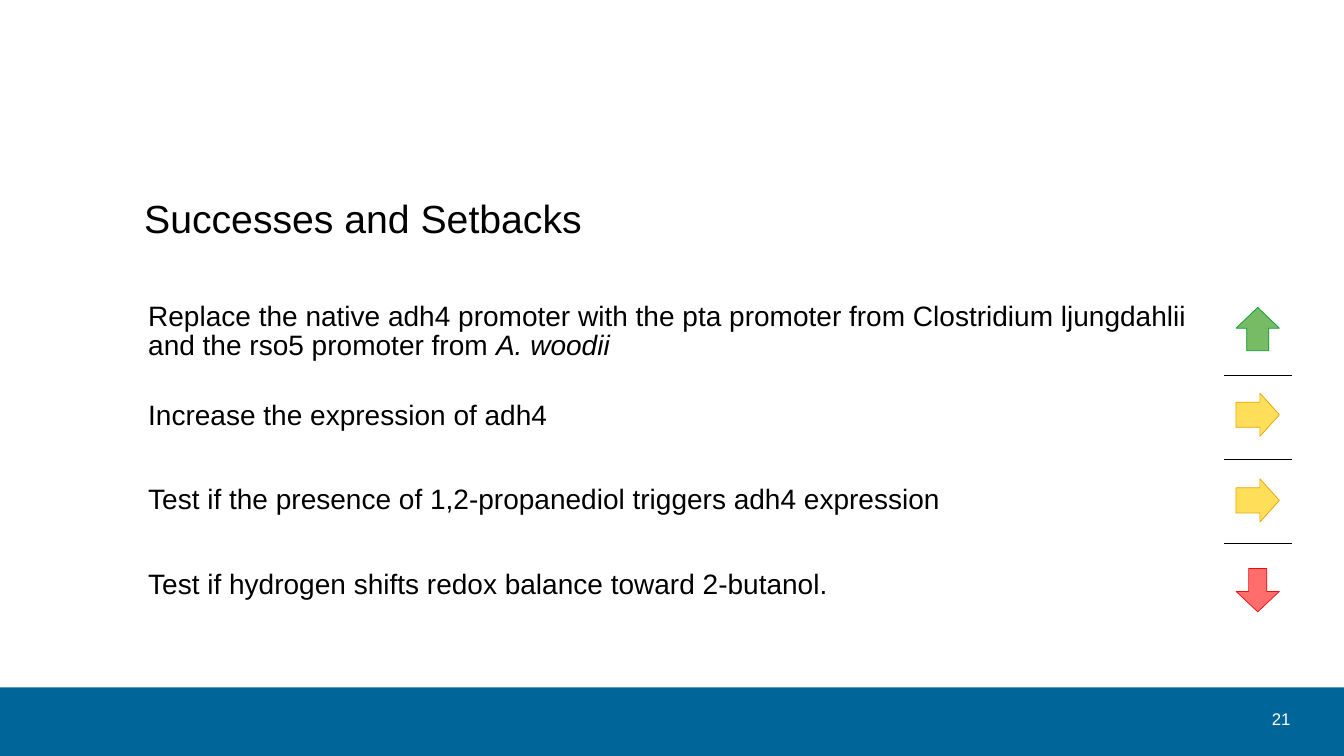
"""Build the slide of successes and setbacks."""
from lxml import etree
from pptx import Presentation
from pptx.dml.color import RGBColor
from pptx.enum.shapes import MSO_SHAPE
from pptx.enum.text import MSO_ANCHOR, PP_ALIGN
from pptx.oxml.ns import qn
from pptx.util import Inches, Pt

RECT = MSO_SHAPE.RECTANGLE
UP, SIDE, DOWN = MSO_SHAPE.UP_ARROW, MSO_SHAPE.RIGHT_ARROW, MSO_SHAPE.DOWN_ARROW
MIDDLE = MSO_ANCHOR.MIDDLE
LEFT, RIGHT = PP_ALIGN.LEFT, PP_ALIGN.RIGHT

BLACK = RGBColor(0x00, 0x00, 0x00)
WHITE = RGBColor(0xFF, 0xFF, 0xFF)
BLUE = RGBColor(0x00, 0x66, 0x99)
GREEN = RGBColor(0x77, 0xBC, 0x65)
FOREST = RGBColor(0x06, 0x9A, 0x2E)
YELLOW = RGBColor(0xFF, 0xDE, 0x59)
AMBER = RGBColor(0xE8, 0xA2, 0x02)
PINK = RGBColor(0xFF, 0x6D, 0x6D)
RED = RGBColor(0xF1, 0x0D, 0x0C)

GOALS = [
    [("Replace the native adh4 promoter with the pta promoter from "
      "Clostridium ljungdahlii and the rso5 promoter from ", False),
     ("A. woodii", True)],
    [("Increase the expression of adh4", False)],
    [("Test if the presence of 1,2-propanediol triggers adh4 expression", False)],
    [("Test if hydrogen shifts redox balance toward 2-butanol.", False)],
]
MARKS = [
    (3.05, UP, (0.51, 0.48), GREEN, FOREST),
    (3.9, SIDE, (0.58, 0.45), YELLOW, AMBER),
    (4.75, SIDE, (0.58, 0.45), YELLOW, AMBER),
    (5.64, DOWN, (0.42, 0.47), PINK, RED),
]


class Deck:
    """Hold the text style and the current slide."""

    font = "Arial"

    def __init__(self):
        self.file = Presentation()
        self.file.slide_width = Inches(13.33)
        self.file.slide_height = Inches(7.5)
        self.slide = self.file.slides.add_slide(self.file.slide_layouts[6])

    def style(self, para, size, color, align=LEFT):
        para.alignment = align
        para.font.name = self.font
        para.font.size = Pt(size)
        para.font.color.rgb = color

    def shape(self, kind, box, fill, line=None, adjust=()):
        shape = self.slide.shapes.add_shape(kind, *map(Inches, box))
        shape.shadow.inherit = False
        shape.fill.solid()
        shape.fill.fore_color.rgb = fill
        if line is None:
            shape.line.fill.background()
        else:
            shape.line.color.rgb = line
            shape.line.width = Pt(0.5)
        for i, value in enumerate(adjust):
            shape.adjustments[i] = value

    def text(self, words, box, size, color, align=LEFT):
        frame = self.slide.shapes.add_textbox(*map(Inches, box)).text_frame
        frame.word_wrap = True
        frame.vertical_anchor = MIDDLE
        frame.margin_left = frame.margin_right = 0
        frame.margin_top = frame.margin_bottom = 0
        para = frame.paragraphs[0]
        para.text = words
        self.style(para, size, color, align)

    def border(self, cell, side):
        props = cell._tc.get_or_add_tcPr()
        line = etree.SubElement(props, qn("a:" + side), w=str(Pt(0.06)))
        fill = etree.SubElement(line, qn("a:solidFill"))
        etree.SubElement(fill, qn("a:srgbClr"), val=str(BLACK))

    def table(self, rows, box, widths):
        table = self.slide.shapes.add_table(
            len(rows), len(widths), *map(Inches, box)).table
        table.first_row = table.horz_banding = False
        for column, width in zip(table.columns, widths):
            column.width = Inches(width)
        for i, runs in enumerate(rows):
            goal, mark = table.cell(i, 0), table.cell(i, 1)
            goal.vertical_anchor = MIDDLE
            goal.margin_left = goal.margin_right = Inches(0.04)
            para = goal.text_frame.paragraphs[0]
            para.line_spacing = 0.9
            self.style(para, 20, BLACK)
            for words, slant in runs:
                run = para.add_run()
                run.text = words
                if slant:
                    run.font.italic = True
            if i > 0:
                self.border(mark, "lnT")
            if i < len(rows) - 1:
                self.border(mark, "lnB")
            for cell in (goal, mark):
                cell.fill.background()


def main():
    deck = Deck()
    deck.shape(RECT, (0, 6.82, 13.33, 0.68), BLUE)
    deck.text("Successes and Setbacks", (1.43, 1.71, 11.38, 0.91), 28, BLACK)
    deck.table(GOALS, (1.43, 2.88, 11.38, 3.35), (10.72, 0.66))
    for top, kind, adjust, fill, line in MARKS:
        deck.shape(kind, (12.26, top, 0.43, 0.43), fill, line, adjust)
    deck.text("21", (11.9, 6.98, 0.9, 0.31), 12, WHITE, RIGHT)
    deck.file.save("out.pptx")


if __name__ == "__main__":
    main()
